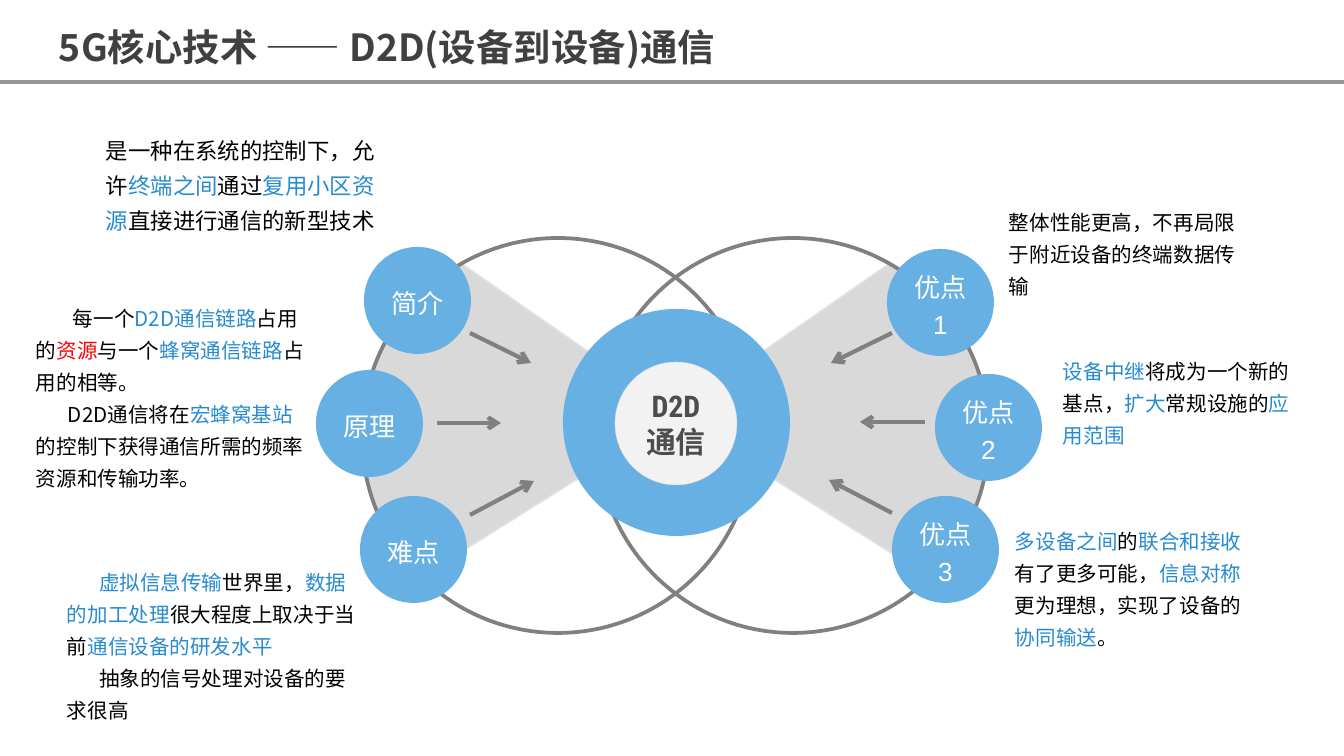
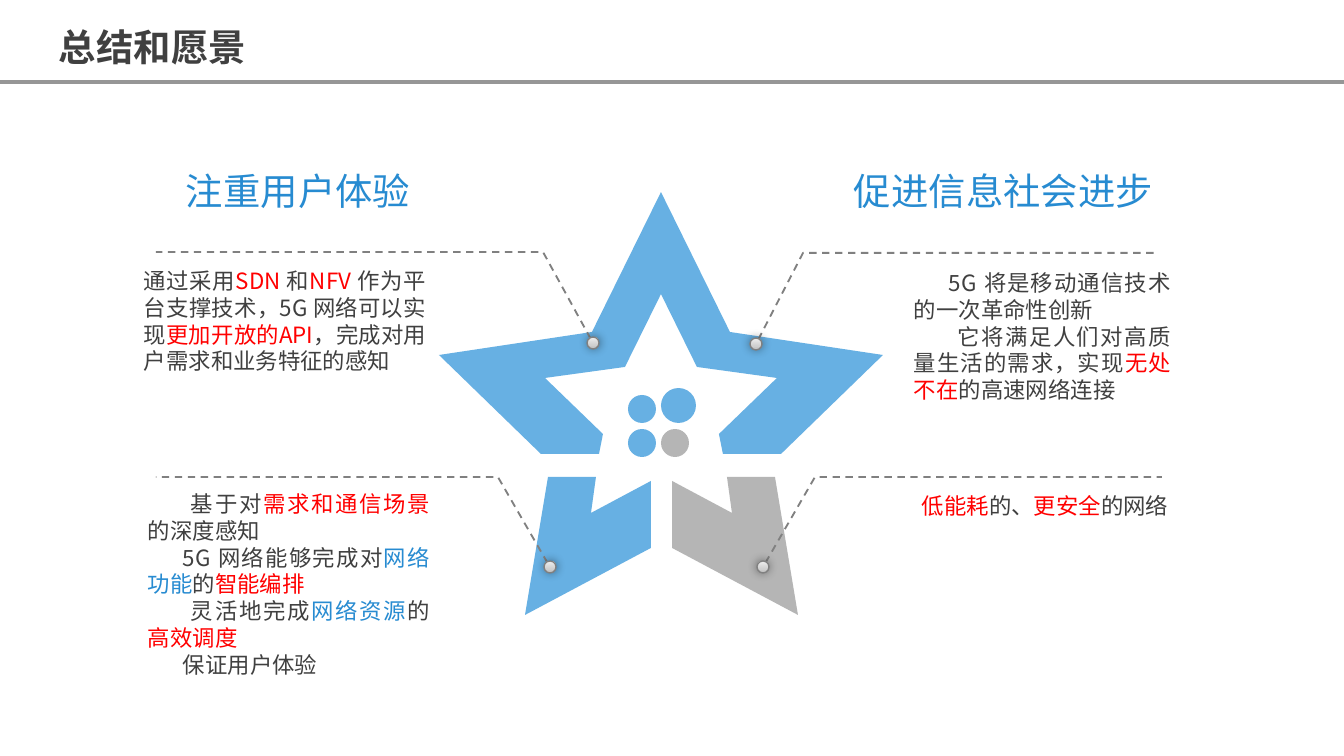
from lxml import etree
from pptx import Presentation
from pptx.dml.color import RGBColor
from pptx.enum.dml import MSO_LINE
from pptx.enum.shapes import MSO_CONNECTOR, MSO_SHAPE
from pptx.enum.text import MSO_ANCHOR, MSO_AUTO_SIZE, PP_ALIGN
from pptx.oxml.ns import qn
from pptx.util import Emu, Pt

DASH = MSO_LINE.DASH
STRAIGHT = MSO_CONNECTOR.STRAIGHT
OVAL = MSO_SHAPE.OVAL
TOP, MIDDLE = MSO_ANCHOR.TOP, MSO_ANCHOR.MIDDLE
GROW = MSO_AUTO_SIZE.SHAPE_TO_FIT_TEXT
LEFT, CENTER, JUSTIFY = PP_ALIGN.LEFT, PP_ALIGN.CENTER, PP_ALIGN.JUSTIFY

EMU_PER_PX = 914400 / 134.4
SLIDE_SIZE = (1344, 756)
TITLE_ONLY = 5

SANS = "Noto Sans CJK SC"
BLACK, INK, WHITE = "000000", "404040", "FFFFFF"
BLUE, SKY, RED = "278BD1", "67B0E3", "FF0000"
GRAY, SILVER, WEDGE = "808080", "B5B5B5", "D9D9D9"


def px(value):
    return Emu(round(value * EMU_PER_PX))


def color(value):
    return RGBColor.from_string(value)


def blue(text):
    return text, BLUE


def red(text):
    return text, RED


def style_font(font, size, ink, name=SANS, bold=False):
    font.size = Pt(size)
    font.bold = bold
    font.name = name
    font.color.rgb = color(ink)


def style_run(run, size, ink, name=SANS, bold=False):
    style_font(run.font, size, ink, name, bold)
    east_asian = etree.SubElement(run.font._element, qn("a:ea"))
    east_asian.set("typeface", SANS)


def set_insets(frame, horizontal, vertical):
    frame.margin_left = frame.margin_right = px(horizontal)
    frame.margin_top = frame.margin_bottom = px(vertical)


def paint(shape, fill=None, line=None, width=1):
    shape.shadow.inherit = False
    if fill:
        shape.fill.solid()
        shape.fill.fore_color.rgb = color(fill)
    else:
        shape.fill.background()
    if line:
        shape.line.color.rgb = color(line)
        shape.line.width = Pt(width)
    else:
        shape.line.fill.background()


def add_line_end(shape, tag, kind):
    line = shape.element.spPr.find(qn("a:ln"))
    etree.SubElement(line, qn(tag)).set("type", kind)


def add_line(page, start, end, ink, width):
    line = page.shapes.add_connector(STRAIGHT, *map(px, start + end))
    line.line.color.rgb = color(ink)
    line.line.width = Pt(width)
    etree.SubElement(line.element.spPr, qn("a:effectLst"))
    return line


def add_arrow(page, start, end):
    add_line_end(add_line(page, start, end, GRAY, 2.25), "a:tailEnd", "arrow")


def add_oval(page, left, top, width, height, fill=None, line=None, weight=1):
    oval = page.shapes.add_shape(OVAL, *map(px, (left, top, width, height)))
    paint(oval, fill, line, weight)
    return oval


def add_outline(page, points, closed=True):
    spots = [(px(x), px(y)) for x, y in points]
    builder = page.shapes.build_freeform(*spots[0], scale=1.0)
    builder.add_line_segments(spots[1:], close=closed)
    return builder.convert_to_shape()


def mirror(points, total):
    return [(total - x, y) for x, y in points]


def curve(start, first, second, end, steps=16):
    points = []
    for step in range(1, steps + 1):
        t = step / steps
        weights = ((1 - t) ** 3, 3 * t * (1 - t) ** 2, 3 * t * t * (1 - t), t ** 3)
        corners = (start, first, second, end)
        points.append(tuple(sum(w * c[axis] for w, c in zip(weights, corners)) for axis in (0, 1)))
    return points


def add_label(oval, text, size, ink, name, spacing=1.0, bold=False):
    frame = oval.text_frame
    frame.word_wrap = True
    frame.vertical_anchor = MIDDLE
    set_insets(frame, 9, 5)
    frame.text = text
    para = frame.paragraphs[0]
    para.alignment = CENTER
    para.line_spacing = spacing
    style_run(para.runs[0], size, ink, name, bold)


def add_text(page, place, paragraphs, size, ink, spacing=1.0, align=LEFT, insets=(9, 5)):
    box = page.shapes.add_textbox(*map(px, place))
    frame = box.text_frame
    frame.word_wrap = True
    frame.auto_size = GROW
    set_insets(frame, *insets)
    for index, (indent, *spans) in enumerate(paragraphs):
        para = frame.add_paragraph() if index else frame.paragraphs[0]
        para.alignment = align
        para.line_spacing = spacing
        para._p.get_or_add_pPr().set("indent", str(px(indent)))
        for span in spans:
            text, span_ink = span if isinstance(span, tuple) else (span, ink)
            run = para.add_run()
            run.text = text
            style_run(run, size, span_ink)
    return box


def add_page(deck, title):
    page = deck.slides.add_slide(deck.slide_layouts[TITLE_ONLY])
    holder = page.shapes.title
    holder.left, holder.top, holder.width, holder.height = map(px, (46, 8, 806, 67))
    frame = holder.text_frame
    frame.text = title
    frame.word_wrap = True
    frame.auto_size = GROW
    frame.vertical_anchor = TOP
    set_insets(frame, 13, 7)
    para = frame.paragraphs[0]
    para.alignment = LEFT
    para.line_spacing = 1.2
    style_run(para.runs[0], 20, INK, bold=True)
    return page


def add_title_rule(page):
    rule = add_line(page, (0, 82), (1344, 82), "969696", 1.75)
    page.slide_layout.shapes.element.append(rule.element)


def add_knob(page, center):
    x, y = center
    knob = add_oval(page, x - 6, y - 6, 12, 12, SILVER, GRAY, 0.75)
    knob.fill.gradient()
    knob.fill.gradient_angle = 90
    properties = knob.element.spPr
    stops = properties.find(".//" + qn("a:gsLst"))
    for stop in list(stops):
        stops.remove(stop)
    for position, ink in ((0, "BDBDBD"), (35, "D1D1D1"), (100, "EEEEEE")):
        stop = etree.SubElement(stops, qn("a:gs"), pos=str(position * 1000))
        etree.SubElement(stop, qn("a:srgbClr"), val=ink)
    effects = properties.find(qn("a:effectLst"))
    shadow = etree.SubElement(effects, qn("a:outerShdw"), blurRad=str(Pt(5)), dist="0", dir="0")
    ink = etree.SubElement(shadow, qn("a:srgbClr"), val=BLACK)
    etree.SubElement(ink, qn("a:alpha"), val="40000")


def add_leader(page, points):
    leader = add_outline(page, points, closed=False)
    paint(leader, None, GRAY, 1)
    leader.line.dash_style = DASH
    add_line_end(leader, "a:headEnd", "oval")
    add_knob(page, points[0])


def build_d2d(deck):
    page = add_page(deck, "5G核心技术 —— D2D(设备到设备)通信")
    add_title_rule(page)

    wedge = [(961, 335), *curve((961, 335), (930, 293), (938, 296), (890, 263)),
             (671, 415), (929, 577),
             *curve((929, 577), (993, 500), (986, 472), (989, 433)),
             *curve((989, 433), (988, 399), (980, 364), (961, 335))]
    for points in (wedge, mirror(wedge, 1351)):
        paint(add_outline(page, points), WEDGE, "E6E6E6", 0.75)
    for left in (362, 597):
        add_oval(page, left, 238, 392, 395, None, GRAY, 2)

    for start, end in (((470, 333), (531, 363)), ((437, 423), (501, 423)),
                       ((470, 515), (534, 481)), ((892, 513), (829, 480)),
                       ((925, 422), (860, 422)), ((892, 333), (831, 363))):
        add_arrow(page, start, end)

    add_oval(page, 563, 309, 227, 227, SKY)
    core = add_oval(page, 615, 362, 122, 123, "F2F2F2", "D7D7D7", 0.25)
    add_label(core, "D2D通信", 16, "4D4D4D", "Roboto Condensed", bold=True)
    for text, left, top in (("简介", 364, 247), ("原理", 316, 370), ("难点", 360, 496),
                            ("优点1", 887, 249), ("优点2", 935, 374), ("优点3", 892, 496)):
        add_label(add_oval(page, left, top, 107, 107, SKY), text, 14, WHITE, "Arial", 1.2)

    add_text(page, (97, 124, 300, 116),
             [(0, "是一种在系统的控制下，允许", blue("终端之间"), "通过",
               blue("复用小区资源"), "直接进行通信的新型技术")], 12, BLACK, 1.3)
    notes = (
        ((1000, 198, 254, 108), [(0, "整体性能更高，不再局限于附近设备的终端数据传输")]),
        ((27, 294, 294, 207),
         [(37, "每一个", blue("D2D通信链路"), "占用的", red("资源"), "与一个",
           blue("蜂窝通信链路"), "占用的相等。"),
          (32, "D2D通信将在", blue("宏蜂窝基站"), "的控制下获得通信所需的频率资源和传输功率。")]),
        ((1054, 347, 254, 108),
         [(0, blue("设备中继"), "将成为一个新的基点，", blue("扩大"), "常规设施的", blue("应用范围"))]),
        ((1006, 517, 254, 140),
         [(0, blue("多设备之间"), "的", blue("联合和接收"), "有了更多可能，", blue("信息对称"),
           "更为理想，实现了设备的", blue("协同输送"), "。")]),
        ((58, 558, 310, 172),
         [(32, blue("虚拟信息传输"), "世界里，", blue("数据的加工处理"),
           "很大程度上取决于当前", blue("通信设备的研发水平")),
          (32, "抽象的信号处理对设备的要求很高")]),
    )
    for place, paragraphs in notes:
        add_text(page, place, paragraphs, 11, BLACK, 1.3)


def build_summary(deck):
    page = add_page(deck, "总结和愿景")

    leg = [(672, 481), (672, 548), (798, 615), (775, 477), (727, 477), (732, 513)]
    half_star = [(730, 332), (661, 192), (661, 294), (697, 367), (777, 378),
                 (719, 434), (723, 454), (781, 454), (883, 355)]
    for points, fill in ((leg, SILVER), (mirror(leg, 1323), SKY),
                         (half_star, SKY), (mirror(half_star, 1322), SKY)):
        paint(add_outline(page, points), fill)
    for left, top, size, fill in ((628, 395, 28, SKY), (661, 388, 35, SKY),
                                  (628, 429, 28, SKY), (661, 429, 28, SILVER)):
        add_oval(page, left, top, size, size, fill)

    for points in (((593, 343), (543, 252), (156, 252)),
                   ((756, 344), (803, 253), (1158, 253)),
                   ((763, 567), (815, 477), (1162, 477)),
                   ((550, 567), (498, 477), (156, 477))):
        add_leader(page, points)

    notes = (
        ((135, 262, 300, 147),
         [(0, "通过采用", red("SDN "), "和", red("NFV "), "作为平台支撑技术，5G 网络可以实现",
           red("更加开放的API"), "，完成对用户需求和业务特征的感知")]),
        ((139, 485, 300, 200),
         [(43, "基于对", red("需求和通信场景"), "的深度感知"),
          (35, "5G 网络能够完成对", blue("网络功能"), "的", red("智能编排")),
          (43, "灵活地完成", blue("网络资源"), "的", red("高效调度")),
          (35, "保证用户体验")]),
        ((905, 264, 275, 147),
         [(35, "5G 将是移动通信技术的一次革命性创新"),
          (44, "它将满足人们对高质量生活的需求，实现", red("无处不在"), "的高速网络连接")]),
        ((913, 487, 267, 38), [(0, red("低能耗"), "的、", red("更安全"), "的网络")]),
    )
    for place, paragraphs in notes:
        add_text(page, place, paragraphs, 12, INK, align=JUSTIFY)
    for text, left, width in (("注重用户体验", 173, 261), ("促进信息社会进步", 841, 329)):
        add_text(page, (left, 161, width, 59), [(0, text)], 20, BLUE, insets=(13, 7))


def main():
    deck = Presentation()
    deck.slide_width, deck.slide_height = map(px, SLIDE_SIZE)
    build_d2d(deck)
    build_summary(deck)
    deck.save("out.pptx")


if __name__ == "__main__":
    main()
